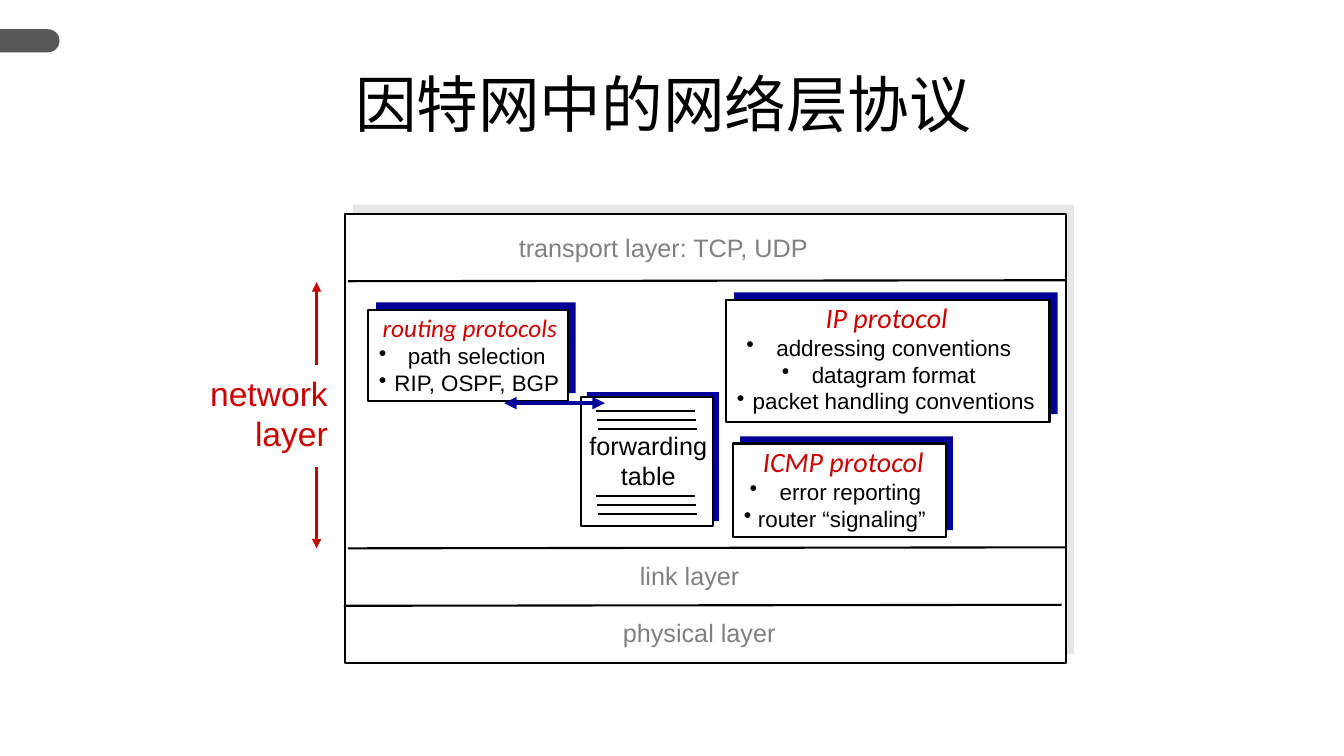
"""Draws the slide on network-layer protocols in the Internet."""
from dataclasses import dataclass

from lxml.etree import SubElement
from pptx import Presentation
from pptx.dml.color import RGBColor
from pptx.enum.shapes import MSO_CONNECTOR, MSO_SHAPE
from pptx.enum.text import MSO_ANCHOR, PP_ALIGN
from pptx.oxml.ns import qn
from pptx.util import Inches, Pt

COLORS = {"black": "000000", "white": "FFFFFF", "navy": "000099", "red": "CC0000",
          "gray": "808080", "shade": "E7E6E6", "pill": "575757"}
BODY = {"name": "Arial", "size": Pt(16), "italic": False}
LABEL = {"name": "Arial", "size": Pt(18)}
SIDE = {"name": "Arial", "size": Pt(24)}
TITLE = {"name": "Arial", "size": Pt(44)}
HEAD = {"name": "Calibri", "size": Pt(20), "italic": True}
SMALL_HEAD = HEAD | {"size": Pt(18)}


@dataclass
class Para:
    text: str
    fmt: dict
    color: str = "black"
    bullet: bool = False
    align: PP_ALIGN = PP_ALIGN.CENTER


@dataclass
class Text:
    left: float
    top: float
    width: float
    height: float
    paras: list[Para]
    wrap: bool = False


@dataclass
class Card:
    left: float
    top: float
    width: float
    height: float
    dx: float = 0.08
    dy: float = 0.08
    shade: str = "navy"


@dataclass
class Line:
    x1: float
    y1: float
    x2: float
    y2: float
    color: str = "black"
    weight: float = 1.5
    arrow: bool = False


def rgb(name: str) -> RGBColor:
    return RGBColor.from_string(COLORS[name])


def add_heads(ln, *ends: str) -> None:
    for end in ends:
        SubElement(ln, qn(f"a:{end}"), type="triangle")


def add_box(s, kind, left, top, width, height, fill: str, line: str = ""):
    sp = s.shapes.add_shape(kind, Inches(left), Inches(top), Inches(width), Inches(height))
    sp.shadow.inherit = False
    sp.fill.solid()
    sp.fill.fore_color.rgb = rgb(fill)
    if line:
        sp.line.color.rgb = rgb(line)
        sp.line.width = Pt(1.5)
    else:
        sp.line.fill.background()
    return sp


def add_card(s, c: Card) -> None:
    rect = MSO_SHAPE.RECTANGLE
    add_box(s, rect, c.left + c.dx, c.top - c.dy, c.width, c.height, c.shade)
    add_box(s, rect, c.left, c.top, c.width, c.height, "white", "black")


def add_line(s, n: Line) -> None:
    cx = s.shapes.add_connector(MSO_CONNECTOR.STRAIGHT, Inches(n.x1), Inches(n.y1),
                                Inches(n.x2), Inches(n.y2))
    cx.line.color.rgb = rgb(n.color)
    cx.line.width = Pt(n.weight)
    if n.arrow:
        add_heads(cx.line._get_or_add_ln(), "tailEnd")
    SubElement(cx._element.spPr, qn("a:effectLst"))


def add_text(s, t: Text) -> None:
    sp = s.shapes.add_textbox(Inches(t.left), Inches(t.top), Inches(t.width), Inches(t.height))
    tf = sp.text_frame
    tf.word_wrap = t.wrap
    tf.vertical_anchor = MSO_ANCHOR.TOP
    for i, para in enumerate(t.paras):
        p = tf.add_paragraph() if i else tf.paragraphs[0]
        p.alignment = para.align
        if para.bullet:
            SubElement(p._p.get_or_add_pPr(), qn("a:buChar"), char="•")
        r = p.add_run()
        r.text = para.text
        for key, value in para.fmt.items():
            setattr(r.font, key, value)
        r.font.color.rgb = rgb(para.color)


def bezier(p0, p1, p2, p3, steps: int = 10) -> list[tuple[float, float]]:
    ts = [i / steps for i in range(1, steps + 1)]
    return [tuple((1 - t) ** 3 * a + 3 * t * (1 - t) ** 2 * b + 3 * t * t * (1 - t) * c + t ** 3 * d
                  for a, b, c, d in zip(p0, p1, p2, p3)) for t in ts]


def add_curve(s) -> None:
    start, mid, end = (5.07, 4.09), (5.33, 4.41), (5.76, 4.45)
    pts = bezier(start, (5.12, 4.11), (5.14, 4.3), mid) + bezier(mid, (5.52, 4.51), (5.67, 4.44), end)
    fb = s.shapes.build_freeform(*start, scale=Inches(1))
    fb.add_line_segments(pts, close=False)
    sp = fb.convert_to_shape()
    sp.shadow.inherit = False
    sp.fill.background()
    sp.line.color.rgb = rgb("navy")
    sp.line.width = Pt(3)
    add_heads(sp.line._get_or_add_ln(), "headEnd", "tailEnd")


def bullets(*items: str) -> list[Para]:
    return [Para(" " + item, BODY, bullet=True) for item in items]


CARDS = [
    Card(3.42, 2.12, 7.15, 4.46, 0.08, 0.09, "shade"),
    Card(5.76, 3.94, 1.31, 1.28, 0.06, 0.05),
    Card(3.65, 3.08, 1.98, 0.9),
    Card(7.2, 2.98, 3.21, 1.21),
    Card(7.27, 4.4, 2.11, 0.93, 0.07, 0.07),
]
LINES = [
    Line(3.45, 2.79, 10.58, 2.78),
    Line(3.45, 5.44, 10.58, 5.43),
    Line(3.41, 6.01, 10.53, 6),
    Line(3.14, 3.62, 3.14, 2.8, "red", 2.25, True),
    Line(3.14, 4.63, 3.14, 5.44, "red", 2.25, True),
] + [Line(5.91 + 0.01 * i, top + 0.09 * i, 6.89 + 0.01 * i, top + 0.09 * i)
     for top in (4.08, 4.92) for i in range(3)]
TEXTS = [
    Text(-0.05, 0.61, 13.26, 0.84, [Para("因特网中的网络层协议", TITLE)], True),
    Text(5.03, 2.26, 3.1, 0.4, [Para("transport layer: TCP, UDP", LABEL, "gray")]),
    Text(6.24, 5.51, 1.2, 0.4, [Para("link layer", LABEL, "gray")]),
    Text(6.07, 6.08, 1.73, 0.4, [Para("physical layer", LABEL, "gray")]),
    Text(1.97, 3.65, 1.38, 0.91,
         [Para(word, SIDE, "red", align=PP_ALIGN.RIGHT) for word in ("network", "layer")]),
    Text(5.74, 4.22, 1.38, 0.71, [Para(word, LABEL) for word in ("forwarding", "table")]),
    Text(3.66, 3.05, 2, 0.94, [Para("routing protocols", SMALL_HEAD, "red"),
                               *bullets("path selection", "RIP, OSPF, BGP")]),
    Text(7.21, 2.93, 3.17, 1.24, [Para("IP protocol", HEAD, "red"),
                                  *bullets("addressing conventions", "datagram format",
                                           "packet handling conventions")]),
    Text(7.28, 4.36, 2.17, 0.98, [Para("ICMP protocol", HEAD, "red"), *bullets("error reporting"),
                                  Para(" router “signaling”", BODY, bullet=True,
                                       align=PP_ALIGN.LEFT)], True),
]


def main() -> None:
    prs = Presentation()
    prs.slide_width, prs.slide_height = Inches(13.33), Inches(7.5)
    s = prs.slides.add_slide(prs.slide_layouts[6])
    pill = add_box(s, MSO_SHAPE.ROUND_2_SAME_RECTANGLE, 0.18, 0.11, 0.23, 0.59, "pill")
    pill.adjustments[0] = 0.5
    pill.rotation = 90
    for card in CARDS:
        add_card(s, card)
    for line in LINES:
        add_line(s, line)
    add_curve(s)
    for text in TEXTS:
        add_text(s, text)
    prs.save("out.pptx")


if __name__ == "__main__":
    main()
